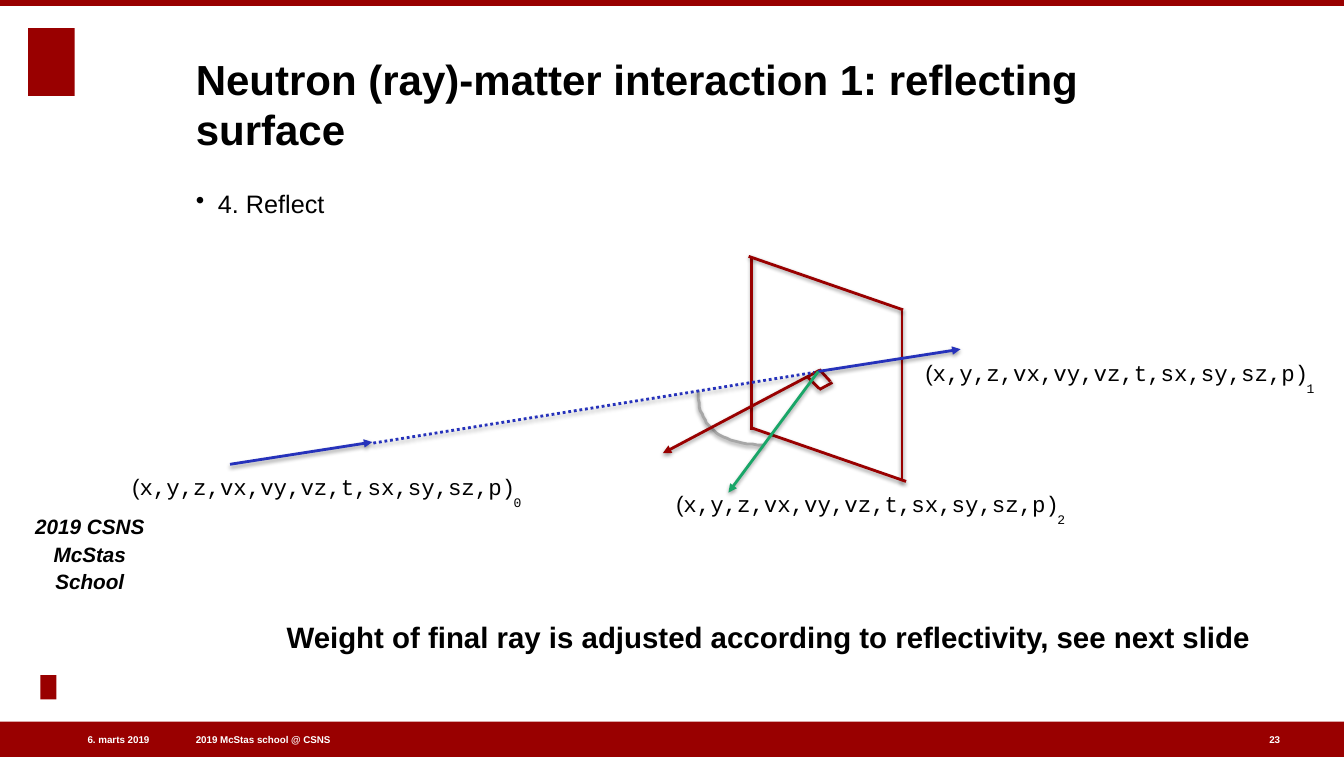
from lxml import etree
from pptx import Presentation
from pptx import util as u
from pptx.dml.color import RGBColor
from pptx.enum import dml, shapes, text
from pptx.oxml import ns

PX = 9144
WIDTH, HEIGHT = 1332, 750

RED = RGBColor(0x99, 0x00, 0x00)
BLUE = RGBColor(0x26, 0x32, 0xBB)
GREEN = RGBColor(0x19, 0xA6, 0x68)
GRAY = RGBColor(0xA7, 0xA7, 0xA7)
BLACK = RGBColor(0, 0, 0)
WHITE = RGBColor(255, 255, 255)

LEFT, CENTER, RIGHT = text.PP_ALIGN.LEFT, text.PP_ALIGN.CENTER, text.PP_ALIGN.RIGHT
TOP, MIDDLE, BOTTOM = text.MSO_ANCHOR.TOP, text.MSO_ANCHOR.MIDDLE, text.MSO_ANCHOR.BOTTOM

RED_BLOCKS = [
    (0, 715, WIDTH, 35),
    (0, 0, WIDTH, 6),
    (28, 28, 46, 67),
    (40, 669, 16, 24),
]

FOOTER = [
    ("2019 McStas school @ CSNS", (194, 726, 372, 14), LEFT),
    ("6. marts 2019", (27, 726, 121, 14), RIGHT),
    ("23", (1258, 726, 14, 14), LEFT),
]

TITLE = "Neutron (ray)-matter interaction 1: reflecting surface"
BULLET = "4. Reflect"
EVENT = "2019 CSNS\vMcStas School"
CONCLUSION = "Weight of final ray is adjusted according to reflectivity, see next slide"

ANGLE_ARC = [(756, 441), (713, 440), (691, 422), (692, 387)]
ARC_STEPS = 24

MIRROR_LINES = [
    ((825, 379), (812, 386), False),
    ((745, 426), (745, 255), False),
    ((894, 477), (894, 306), False),
    ((895, 307), (742, 254), False),
    ((898, 477), (745, 424), False),
    ((812, 367), (657, 449), True),
    ((823, 378), (812, 366), False),
    ((812, 385), (800, 373), False),
]
INCOMING_RAY = ((228, 460), (369, 438))
FLIGHT_PATH = ((370, 439), (807, 369))
TRANSMITTED_RAY = ((811, 368), (952, 346))
REFLECTED_RAY = ((811, 368), (722, 488))

STATE = ["(", "x,y,z,vx,vy,vz,t,sx,sy,sz,p)"]
STATE_LABELS = [("1", 917, 356), ("0", 131, 469), ("2", 670, 486)]
INDEX_OFFSET = (378, 10)


def px(*values):
    return [u.Emu(value * PX) for value in values]


def add_shadow(shape):
    effects = etree.SubElement(shape._element.spPr, ns.qn("a:effectLst"))
    shadow = etree.SubElement(effects, ns.qn("a:outerShdw"), blurRad="38100",
                              dist="20320", dir="5400000", rotWithShape="0")
    color = etree.SubElement(shadow, ns.qn("a:srgbClr"), val="000000")
    etree.SubElement(color, ns.qn("a:alpha"), val="38000")


def add_block(slide, box):
    block = slide.shapes.add_shape(shapes.MSO_SHAPE.RECTANGLE, *px(*box))
    block.shadow.inherit = False
    block.fill.solid()
    block.fill.fore_color.rgb = RED
    block.line.fill.background()


def add_text(slide, content, box, size, color=BLACK, bold=False, italic=False,
             align=LEFT, anchor=TOP, wrap=True, font="Arial"):
    frame = slide.shapes.add_textbox(*px(*box)).text_frame
    frame.margin_left = frame.margin_right = frame.margin_top = frame.margin_bottom = 0
    frame.word_wrap = wrap
    frame.vertical_anchor = anchor
    frame.text = content
    paragraph = frame.paragraphs[0]
    paragraph.alignment = align
    for run in paragraph.runs:
        run.font.name = font
        run.font.size = u.Pt(size)
        run.font.bold = bold
        run.font.italic = italic
        run.font.color.rgb = color
    return paragraph


def add_bullet_text(slide):
    paragraph = add_text(slide, BULLET, (194, 187, 1018, 47), 18)
    properties = paragraph._p.get_or_add_pPr()
    indent = 22 * PX
    properties.set("marL", str(indent))
    properties.set("indent", str(-indent))
    etree.SubElement(properties, ns.qn("a:buChar"), char="•")


def add_line(slide, start, end, color, arrow=False, dotted=False):
    line = slide.shapes.add_connector(shapes.MSO_CONNECTOR.STRAIGHT, *px(*start, *end))
    line.line.color.rgb = color
    line.line.width = u.Pt(2)
    if dotted:
        line.line.dash_style = dml.MSO_LINE.ROUND_DOT
    if arrow:
        etree.SubElement(line.line._get_or_add_ln(), ns.qn("a:tailEnd"), type="triangle")
    add_shadow(line)


def arc_point(t):
    weights = ((1 - t) ** 3, 3 * t * (1 - t) ** 2, 3 * t * t * (1 - t), t ** 3)
    return tuple(sum(w * point[axis] for w, point in zip(weights, ANGLE_ARC))
                 for axis in (0, 1))


def add_angle_arc(slide):
    points = [arc_point(step / ARC_STEPS) for step in range(ARC_STEPS + 1)]
    builder = slide.shapes.build_freeform(*points[0], scale=PX)
    builder.add_line_segments(points[1:], close=False)
    arc = builder.convert_to_shape()
    arc.fill.background()
    arc.line.color.rgb = GRAY
    arc.line.width = u.Pt(2)
    add_shadow(arc)


def add_state_label(slide, index, left, top):
    paragraph = add_text(slide, STATE[0], (left, top, 455, 65), 16)
    run = paragraph.add_run()
    run.text = STATE[1]
    run.font.name = "Courier New"
    run.font.size = u.Pt(16)
    run.font.color.rgb = BLACK
    dx, dy = INDEX_OFFSET
    subscript = add_text(slide, index, (left + dx, top + dy, 14, 26), 16,
                         wrap=False, font="Courier New")
    subscript.runs[0]._r.get_or_add_rPr().set("baseline", "-6000")


def main():
    presentation = Presentation()
    presentation.slide_width, presentation.slide_height = px(WIDTH, HEIGHT)
    slide = presentation.slides.add_slide(presentation.slide_layouts[6])

    for box in RED_BLOCKS:
        add_block(slide, box)
    for content, box, align in FOOTER:
        add_text(slide, content, box, 7, WHITE, bold=True, align=align, anchor=MIDDLE)

    event = add_text(slide, EVENT, (34, 509, 110, 79), 14.8, bold=True, italic=True,
                     align=CENTER, anchor=BOTTOM)
    event.line_spacing = 1.1
    add_angle_arc(slide)
    add_text(slide, TITLE, (194, 47, 1018, 106), 30, bold=True, anchor=BOTTOM)
    add_bullet_text(slide)

    for start, end, arrow in MIRROR_LINES:
        add_line(slide, start, end, RED, arrow)
    add_line(slide, *INCOMING_RAY, BLUE, arrow=True)
    add_line(slide, *FLIGHT_PATH, BLUE, dotted=True)
    add_line(slide, *TRANSMITTED_RAY, BLUE, arrow=True)
    add_line(slide, *REFLECTED_RAY, GREEN, arrow=True)

    for label in STATE_LABELS:
        add_state_label(slide, *label)
    add_text(slide, CONCLUSION, (284, 613, 957, 32), 21, bold=True, wrap=False)
    presentation.save("out.pptx")


if __name__ == "__main__":
    main()
